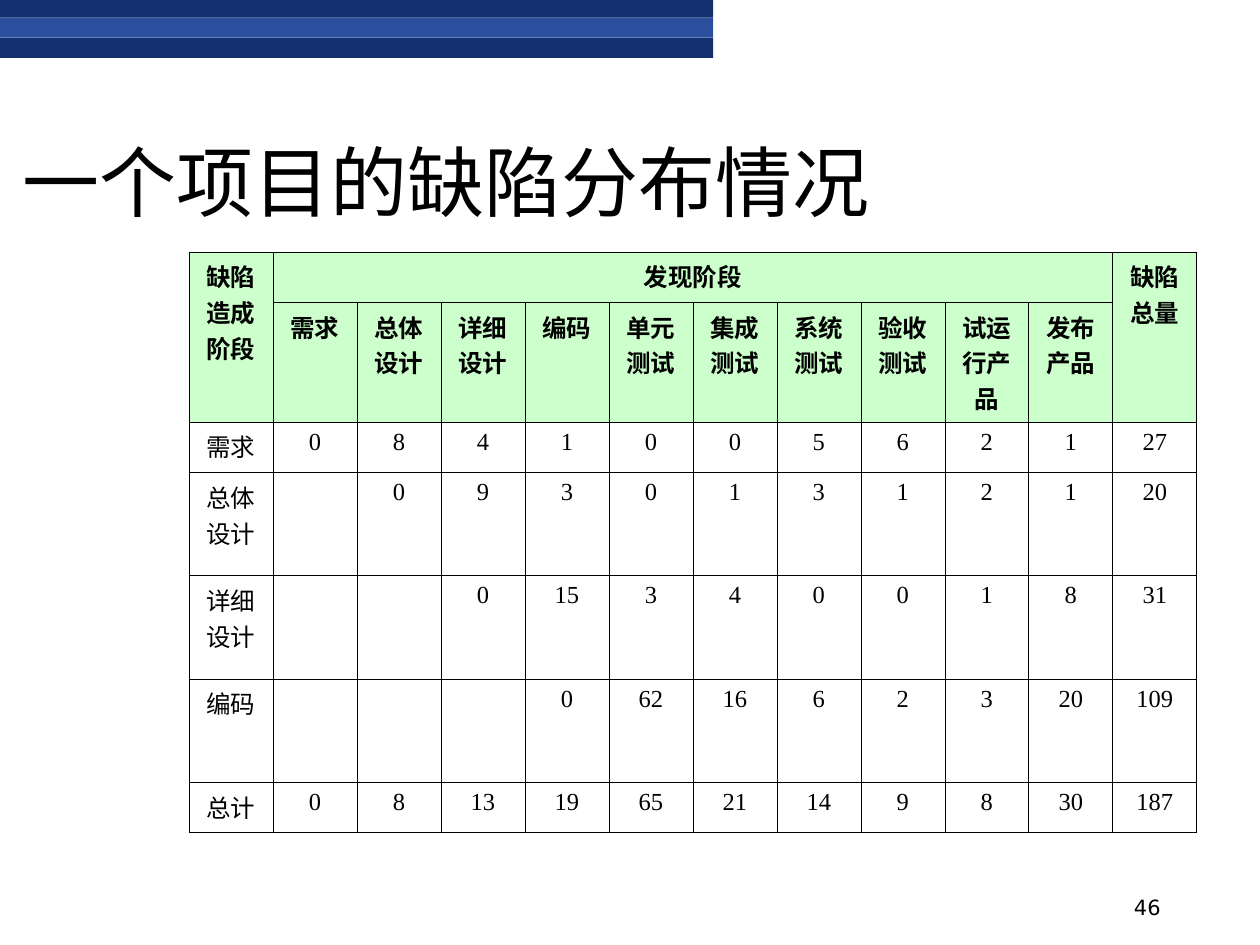
"""Build a slide with a table of defects by the phase that caused and found them."""
from lxml.etree import SubElement
from pptx import Presentation
from pptx.dml.color import RGBColor
from pptx.enum.shapes import MSO_SHAPE
from pptx.enum.text import MSO_ANCHOR as Anchor, PP_ALIGN as Align
from pptx.oxml.ns import qn
from pptx.util import Inches, Pt


def color(hex_value):
    return RGBColor.from_string(hex_value)


def add_text(paragraph, text, size, font_name, alignment, bold=False):
    paragraph.alignment = alignment
    run = paragraph.add_run()
    run.text = text
    run.font.size = Pt(size)
    run.font.name = font_name
    run.font.bold = bold
    run.font.color.rgb = color("000000")


presentation = Presentation()
presentation.slide_width = Inches(10)
presentation.slide_height = Inches(7.5)
slide = presentation.slides.add_slide(presentation.slide_layouts[5])

for top, height, fill in [(0, 0.14, "123070"), (0.14, 0.16, "2B4F9D"), (0.3, 0.16, "123070")]:
    bar = slide.shapes.add_shape(
        MSO_SHAPE.RECTANGLE, Inches(0), Inches(top), Inches(5.66), Inches(height))
    bar.shadow.inherit = False
    bar.fill.solid()
    bar.fill.fore_color.rgb = color(fill)
    bar.line.fill.background()

page_number = slide.shapes.add_textbox(Inches(7.06), Inches(6.95), Inches(2.25), Inches(0.4))
page_number.text_frame.word_wrap = True
page_number.text_frame.vertical_anchor = Anchor.BOTTOM
add_text(page_number.text_frame.paragraphs[0], "46", 12, "DejaVu Sans", Align.RIGHT)

title = slide.shapes.title
title.left, title.top = Inches(0.08), Inches(0.42)
title.width, title.height = Inches(8.69), Inches(1.44)
title.text_frame.vertical_anchor = Anchor.BOTTOM
title_paragraph = title.text_frame.paragraphs[0]
title_paragraph.line_spacing = 0.9
add_text(title_paragraph, "一个项目的缺陷分布情况", 44, "Calibri", Align.LEFT)

rows = [
    ["缺陷\n造成\n阶段", "发现阶段"] + [""] * 9 + ["缺陷\n总量"],
    ["", "需求", "总体\n设计", "详细\n设计", "编码", "单元\n测试", "集成\n测试",
     "系统\n测试", "验收\n测试", "试运\n行产\n品", "发布\n产品", ""],
    ["需求", 0, 8, 4, 1, 0, 0, 5, 6, 2, 1, 27],
    ["总体\n设计", "", 0, 9, 3, 0, 1, 3, 1, 2, 1, 20],
    ["详细\n设计", "", "", 0, 15, 3, 4, 0, 0, 1, 8, 31],
    ["编码", "", "", "", 0, 62, 16, 6, 2, 3, 20, 109],
    ["总计", 0, 8, 13, 19, 65, 21, 14, 9, 8, 30, 187],
]
row_heights = [0.4, 0.95, 0.4, 0.82, 0.82, 0.82, 0.4]
header_rows = 2
last_column = len(rows[0]) - 1

table = slide.shapes.add_table(
    len(rows), len(rows[0]), Inches(1.5), Inches(2), Inches(8), Inches(sum(row_heights))).table
table.first_row = False
table.horz_banding = False
for row, height in zip(table.rows, row_heights):
    row.height = Inches(height)

for row_index, values in enumerate(rows):
    is_header = row_index < header_rows
    for column_index, value in enumerate(values):
        cell = table.cell(row_index, column_index)
        properties = cell._tc.get_or_add_tcPr()
        for side in ("a:lnL", "a:lnR", "a:lnT", "a:lnB"):
            border = SubElement(properties, qn(side), w=str(Pt(0.45)))
            border_fill = SubElement(border, qn("a:solidFill"))
            SubElement(border_fill, qn("a:srgbClr"), val="000000")
        if is_header:
            cell.fill.solid()
            cell.fill.fore_color.rgb = color("CCFFCC")
        else:
            cell.fill.background()
        if value == "":
            continue
        for line_index, line in enumerate(str(value).split("\n")):
            frame = cell.text_frame
            paragraph = frame.add_paragraph() if line_index else frame.paragraphs[0]
            paragraph_properties = paragraph._p.get_or_add_pPr()
            paragraph_properties.set("marL", str(Inches(0.38)))
            paragraph_properties.set("indent", str(-Inches(0.38)))
            add_text(paragraph, line, 14, "Times New Roman", Align.CENTER, is_header)

table.cell(0, 1).merge(table.cell(0, last_column - 1))
for column_index in (0, last_column):
    table.cell(0, column_index).merge(table.cell(1, column_index))

presentation.save("out.pptx")
